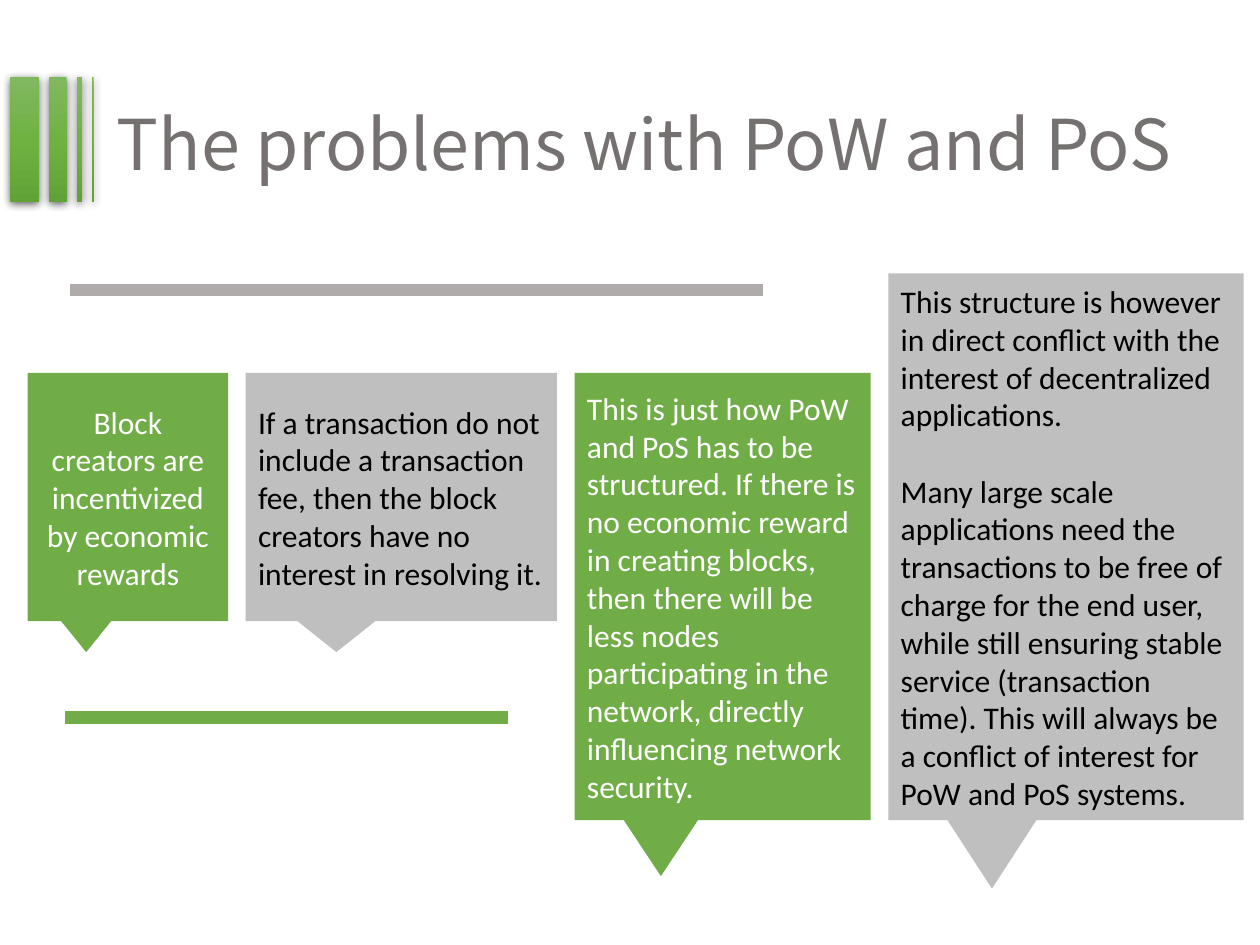
from copy import deepcopy
from dataclasses import dataclass

from lxml import etree
from pptx import Presentation
from pptx.dml.color import RGBColor
from pptx.enum.shapes import MSO_SHAPE
from pptx.enum.text import MSO_ANCHOR, PP_ALIGN
from pptx.oxml.ns import qn
from pptx.util import Inches, Pt

RECT, CALLOUT, MINUS = MSO_SHAPE.RECTANGLE, MSO_SHAPE.RECTANGULAR_CALLOUT, MSO_SHAPE.MATH_MINUS
MIDDLE = MSO_ANCHOR.MIDDLE
LEFT, CENTER = PP_ALIGN.LEFT, PP_ALIGN.CENTER


@dataclass(frozen=True)
class Theme:
    title_font: str = "Noto Sans CJK JP"
    body_font: str = "Calibri"
    title_size: int = 40
    body_size: int = 18
    title: str = "767171"
    green: str = "70AD47"
    gray: str = "BFBFBF"
    dark_gray: str = "AFABAB"
    white: str = "FFFFFF"
    black: str = "000000"
    stripe: tuple[str, ...] = ("80B860", "6FB242", "61A236")


@dataclass(frozen=True)
class Box:
    """A place on a grid of 100 columns by 75 rows."""
    col: float
    row: float
    cols: float
    rows: float


@dataclass(frozen=True)
class Callout:
    cols: float
    top: float
    bottom: float
    fill: str
    color: str
    align: PP_ALIGN
    paragraphs: tuple[str, ...]


T = Theme()
prs = Presentation()
prs.slide_width, prs.slide_height = Inches(10), Inches(7.5)
slide = prs.slides.add_slide(prs.slide_layouts[6])
COL, ROW = prs.slide_width / 100, prs.slide_height / 75


def place(box: Box) -> tuple[int, ...]:
    return tuple(round(v) for v in
                 (box.col * COL, box.row * ROW, box.cols * COL, box.rows * ROW))


def add_filled(kind: MSO_SHAPE, box: Box, fill: str):
    sp = slide.shapes.add_shape(kind, *place(box))
    sp.shadow.inherit = False
    sp.fill.solid()
    sp.fill.fore_color.rgb = RGBColor.from_string(fill)
    sp.line.fill.background()
    return sp


def write(sp, paragraphs: tuple[str, ...], font: str, size: int, color: str,
          align: PP_ALIGN = LEFT, line_spacing: float = 1.0) -> None:
    tf = sp.text_frame
    tf.word_wrap = True
    tf.vertical_anchor = MIDDLE
    for i, text in enumerate(paragraphs):
        p = tf.add_paragraph() if i else tf.paragraphs[0]
        p.alignment = align
        p.line_spacing = line_spacing
        if i:
            p.space_before = Pt(size * 1.22)
        r = p.add_run()
        r.text = text
        r.font.name, r.font.size = font, Pt(size)
        r.font.color.rgb = RGBColor.from_string(color)


def add_stripe(box: Box) -> None:
    sp = add_filled(RECT, box, T.green)
    sp.fill.gradient()
    sp.fill.gradient_angle = 270
    # A third stop, then one colour for each
    stops = sp._element.spPr.find(qn("a:gradFill")).find(qn("a:gsLst"))
    stops.append(deepcopy(stops[-1]))
    for stop, pos, color in zip(sp.fill.gradient_stops, (0, 0.5, 1), T.stripe):
        stop.position = pos
        stop.color.rgb = RGBColor.from_string(color)
    # Soft shadow below
    effects = sp._element.spPr.find(qn("a:effectLst"))
    shadow = etree.SubElement(effects, qn("a:outerShdw"), blurRad=str(Pt(5)),
                              dist=str(Pt(1.5)), dir="5400000", algn="ctr", rotWithShape="0")
    black = etree.SubElement(shadow, qn("a:srgbClr"), val=T.black)
    etree.SubElement(black, qn("a:alpha"), val="63000")


# Title
title = slide.shapes.add_textbox(*place(Box(8.3, 4.5, 86.2, 14.5)))
write(title, ("The problems with PoW and PoS",), T.title_font, T.title_size, T.title,
      line_spacing=0.9)

# Stripes, thinning to the right
STRIPE_GAP = 0.8
col = 0.8
for cols in (2.3, 1.4, 0.4, 0.14):
    add_stripe(Box(col, 6.1, cols, 9.9))
    col += cols + STRIPE_GAP

# Callouts, side by side
CALLOUTS = (
    Callout(15.9, 29.6, 49.3, T.green, T.white, CENTER,
            ("Block creators are incentivized by economic rewards",)),
    Callout(24.7, 29.6, 49.3, T.gray, T.black, LEFT,
            ("If a transaction do not include a transaction fee, then the block "
             "creators have no interest in resolving it.",)),
    Callout(23.5, 29.6, 65.1, T.green, T.white, LEFT,
            ("This is just how PoW and PoS has to be structured. If there is no "
             "economic reward in creating blocks, then there will be less nodes "
             "participating in the network, directly influencing network security.",)),
    Callout(28.2, 21.7, 65.1, T.gray, T.black, LEFT,
            ("This structure is however in direct conflict with the interest of "
             "decentralized applications.",
             "Many large scale applications need the transactions to be free of charge "
             "for the end user, while still ensuring stable service (transaction time). "
             "This will always be a conflict of interest for PoW and PoS systems.")),
)
CALLOUT_GAP = 1.4
col = 2.2
for c in CALLOUTS:
    sp = add_filled(CALLOUT, Box(col, c.top, c.cols, c.bottom - c.top), c.fill)
    write(sp, c.paragraphs, T.body_font, T.body_size, c.color, c.align)
    col += c.cols + CALLOUT_GAP

# Bars below and above the callouts
add_filled(MINUS, Box(-1.2, 54.6, 47.9, 4.7), T.green)
upper_bar = add_filled(MINUS, Box(-4.4, 21.7, 74.9, 2.6), T.dark_gray)
upper_bar.adjustments[0] = 0.36

prs.save("out.pptx")
